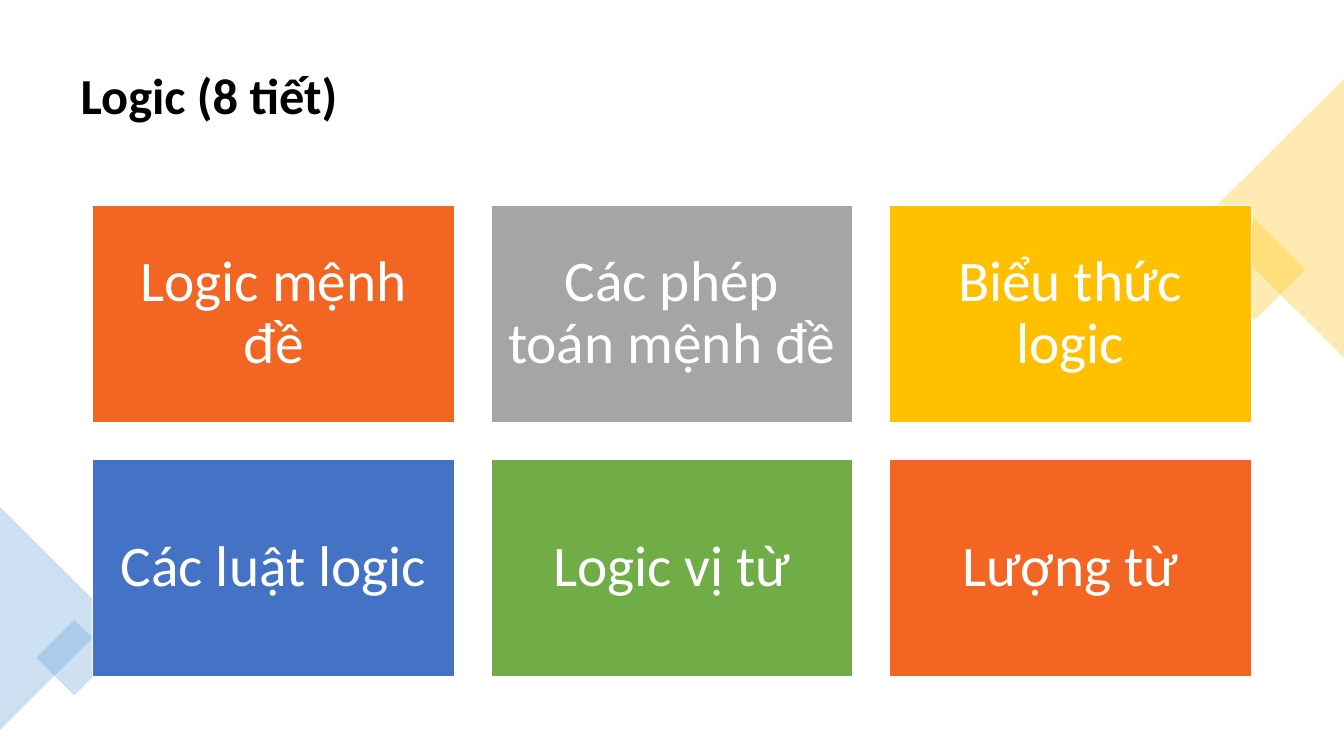
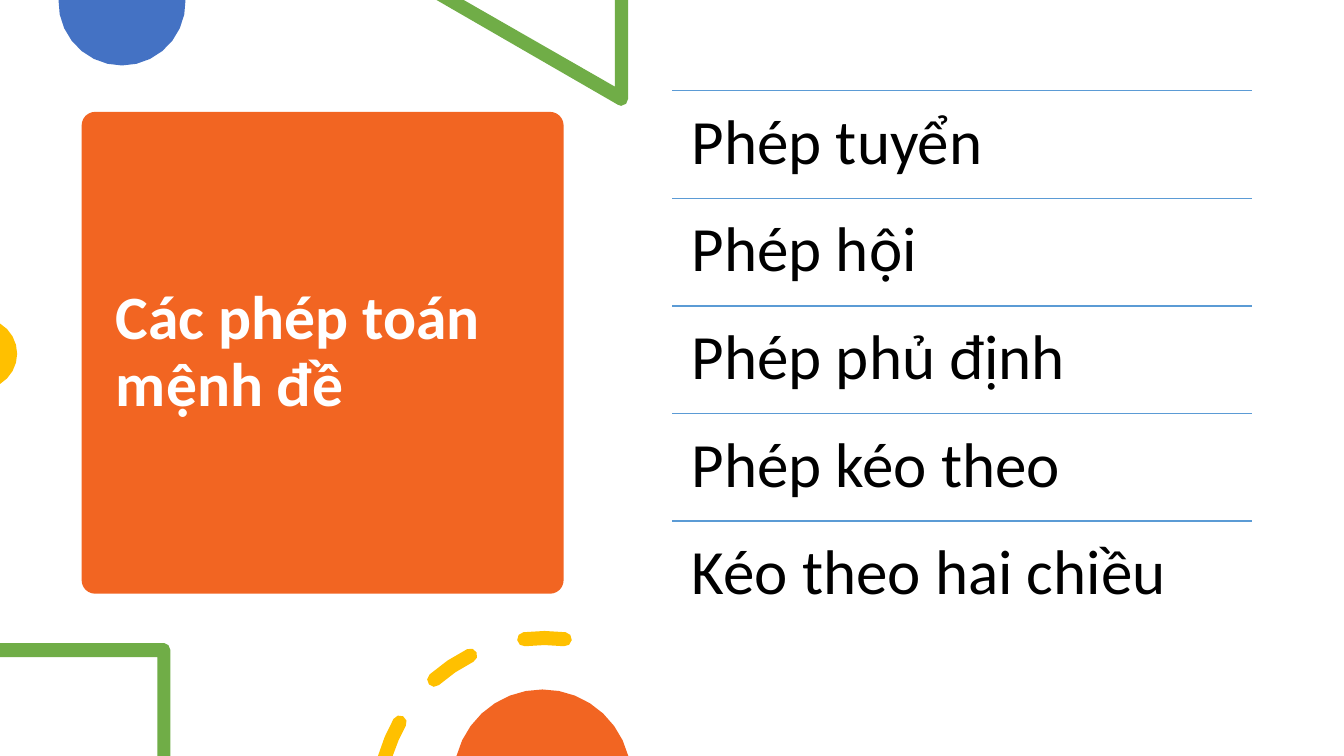
import math

from lxml import etree
from pptx import Presentation
from pptx.dml.color import RGBColor
from pptx.enum import shapes, text
from pptx.oxml import ns
from pptx.util import Inches, Pt

ORANGE = RGBColor(0xF2, 0x65, 0x22)
GREY = RGBColor(0xA5, 0xA5, 0xA5)
YELLOW = RGBColor(0xFF, 0xC0, 0x00)
BLUE = RGBColor(0x44, 0x72, 0xC4)
LIGHT_BLUE = RGBColor(0x5B, 0x9B, 0xD5)
GREEN = RGBColor(0x70, 0xAD, 0x47)
BLACK = RGBColor(0, 0, 0)
WHITE = RGBColor(0xFF, 0xFF, 0xFF)
FONT = "Calibri"


def write(shape, words, size, color, inset=None, bold=False,
          align=text.PP_ALIGN.LEFT, anchor=text.MSO_ANCHOR.MIDDLE):
    frame = shape.text_frame
    frame.word_wrap = True
    frame.auto_size = text.MSO_AUTO_SIZE.NONE
    frame.vertical_anchor = anchor
    if inset is not None:
        frame.margin_left = frame.margin_right = Inches(inset)
        frame.margin_top = frame.margin_bottom = Inches(inset)
    para = frame.paragraphs[0]
    para.alignment = align
    para.line_spacing = 0.9
    span = para.add_run()
    span.text = words
    span.font.name = FONT
    span.font.size = Pt(size)
    span.font.bold = bold
    span.font.color.rgb = color


def arc(center_x, center_y, radius, start, end, steps):
    """Points in inches on an arc; degrees run clockwise from the right."""
    angles = [math.radians(start + (end - start) * i / steps) for i in range(steps + 1)]
    return [(center_x + radius * math.cos(a), center_y + radius * math.sin(a))
            for a in angles]


deck = Presentation()
deck.slide_width = Inches(13.33)
deck.slide_height = Inches(7.5)
title_only = deck.slide_layouts[5]

# Slide 1: topic grid
page = deck.slides.add_slide(title_only)
title = page.shapes.title
title.left, title.top = Inches(0.7), Inches(0.35)
title.width, title.height = Inches(11.93), Inches(1.24)
write(title, "Logic (8 tiết)", 36, BLACK, bold=True)

SQUARE = shapes.MSO_SHAPE.RECTANGLE
TRIANGLE = shapes.MSO_SHAPE.ISOSCELES_TRIANGLE
corner_ornaments = [
    (SQUARE, 12.09, 2.32, 0.71, 0.71, 45, YELLOW),
    (TRIANGLE, 11.25, 1.47, 2.77, 1.39, 270, YELLOW),
    (TRIANGLE, -0.55, 5.58, 2.21, 1.11, 90, LIGHT_BLUE),
    (SQUARE, 0.47, 6.26, 0.53, 0.53, 45, LIGHT_BLUE),
]
for kind, left, top, width, height, turn, color in corner_ornaments:
    ornament = page.shapes.add_shape(
        kind, Inches(left), Inches(top), Inches(width), Inches(height))
    ornament.shadow.inherit = False
    ornament.rotation = turn
    ornament.fill.solid()
    ornament.fill.fore_color.rgb = color
    ornament.line.fill.background()
    fill_color = ornament._element.spPr.find(".//" + ns.qn("a:srgbClr"))
    etree.SubElement(fill_color, ns.qn("a:alpha"), val="30000")

topics = [
    ("Logic mệnh đề", ORANGE), ("Các phép toán mệnh đề", GREY),
    ("Biểu thức logic", YELLOW), ("Các luật logic", BLUE),
    ("Logic vị từ", GREEN), ("Lượng từ", ORANGE),
]
for index, (topic, color) in enumerate(topics):
    row, column = divmod(index, 3)
    box = page.shapes.add_shape(
        SQUARE, Inches(0.92 + 3.95 * column), Inches(2.04 + 2.52 * row),
        Inches(3.59), Inches(2.15))
    box.shadow.inherit = False
    box.fill.solid()
    box.fill.fore_color.rgb = color
    box.line.color.rgb = WHITE
    box.line.width = Pt(1)
    write(box, topic, 41, WHITE, inset=0.15, align=text.PP_ALIGN.CENTER)

# Slide 2: list of operations
page = deck.slides.add_slide(title_only)
title = page.shapes.title
title.left, title.top = Inches(1.05), Inches(1.22)
title.width, title.height = Inches(4.31), Inches(4.56)
write(title, "Các phép toán mệnh đề", 44, WHITE, bold=True)

panel = page.shapes.add_shape(
    shapes.MSO_SHAPE.ROUNDED_RECTANGLE,
    Inches(0.81), Inches(1.11), Inches(4.78), Inches(4.78))
panel.adjustments[0] = 0.028
panel.shadow.inherit = False
panel.fill.solid()
panel.fill.fore_color.rgb = ORANGE
panel.line.fill.background()
title._element.addprevious(panel._element)

# Dashed ring around the lower disc; its first dash is cut by the slide's edge
RING_X, RING_Y, RING, HALF = 5.4, 7.98, 1.65, 0.07
dashes = []
for outer_start, inner_start, end in [
        (196.2, 197.7, 209.5), (228.5, 228.5, 243.5), (263, 263, 277)]:
    dash = arc(RING_X, RING_Y, RING + HALF, outer_start, end, 2)
    cap_x, cap_y = arc(RING_X, RING_Y, RING, outer_start, end, 1)[1]
    dash += arc(cap_x, cap_y, HALF, end, end + 180, 4)[1:-1]
    dash += arc(RING_X, RING_Y, RING - HALF, end, inner_start, 2)
    if outer_start == inner_start:
        cap_x, cap_y = arc(RING_X, RING_Y, RING, outer_start, end, 1)[0]
        dash += arc(cap_x, cap_y, HALF, outer_start + 180, outer_start + 360, 4)[1:-1]
    dashes.append(dash)

green_corner = [(6.23, 0), (6.1, 0), (6.1, 0.86), (4.6, 0), (4.33, 0),
                (6.13, 1.04), (6.16, 1.05), (6.21, 1.03), (6.23, 0.98)]
green_frame = [(1.63, 6.38), (0, 6.38), (0, 6.52), (1.56, 6.52), (1.56, 7.5),
               (1.69, 7.5), (1.69, 6.45), (1.67, 6.4)]
edge_ornaments = [
    ([arc(1.21, 0.02, 0.63, -1.8, 181.8, 14)], BLUE),
    ([green_corner], GREEN),
    ([arc(-0.18, 3.51, 0.35, -59, 59, 8)], YELLOW),
    ([green_frame], GREEN),
    (dashes, YELLOW),
    ([arc(5.38, 7.72, 0.88, 194.5, 345.5, 14)], ORANGE),
]
for outlines, color in edge_ornaments:
    builder = None
    for outline in outlines:
        places = [(Inches(x), Inches(y)) for x, y in outline]
        if builder is None:
            builder = page.shapes.build_freeform(*places[0])
        else:
            builder.move_to(*places[0])
        builder.add_line_segments(places[1:], close=True)
    ornament = builder.convert_to_shape()
    ornament.shadow.inherit = False
    ornament.fill.solid()
    ornament.fill.fore_color.rgb = color
    ornament.line.fill.background()

operations = ["Phép tuyển", "Phép hội", "Phép phủ định", "Phép kéo theo",
              "Kéo theo hai chiều"]
FIRST_RULE, LAST_RULE = 0.9, 5.17
pitch = (LAST_RULE - FIRST_RULE) / (len(operations) - 1)
for index, operation in enumerate(operations):
    top = Inches(FIRST_RULE + pitch * index)
    rule = page.shapes.add_connector(
        shapes.MSO_CONNECTOR.STRAIGHT, Inches(6.67), top, Inches(12.42), top)
    rule.line.color.rgb = LIGHT_BLUE
    rule.line.width = Pt(1)
    etree.SubElement(rule._element.spPr, ns.qn("a:effectLst"))
    label = page.shapes.add_textbox(Inches(6.67), top, Inches(5.75), Inches(pitch))
    write(label, operation, 45, BLACK, inset=0.19, anchor=text.MSO_ANCHOR.TOP)

deck.save("out.pptx")
